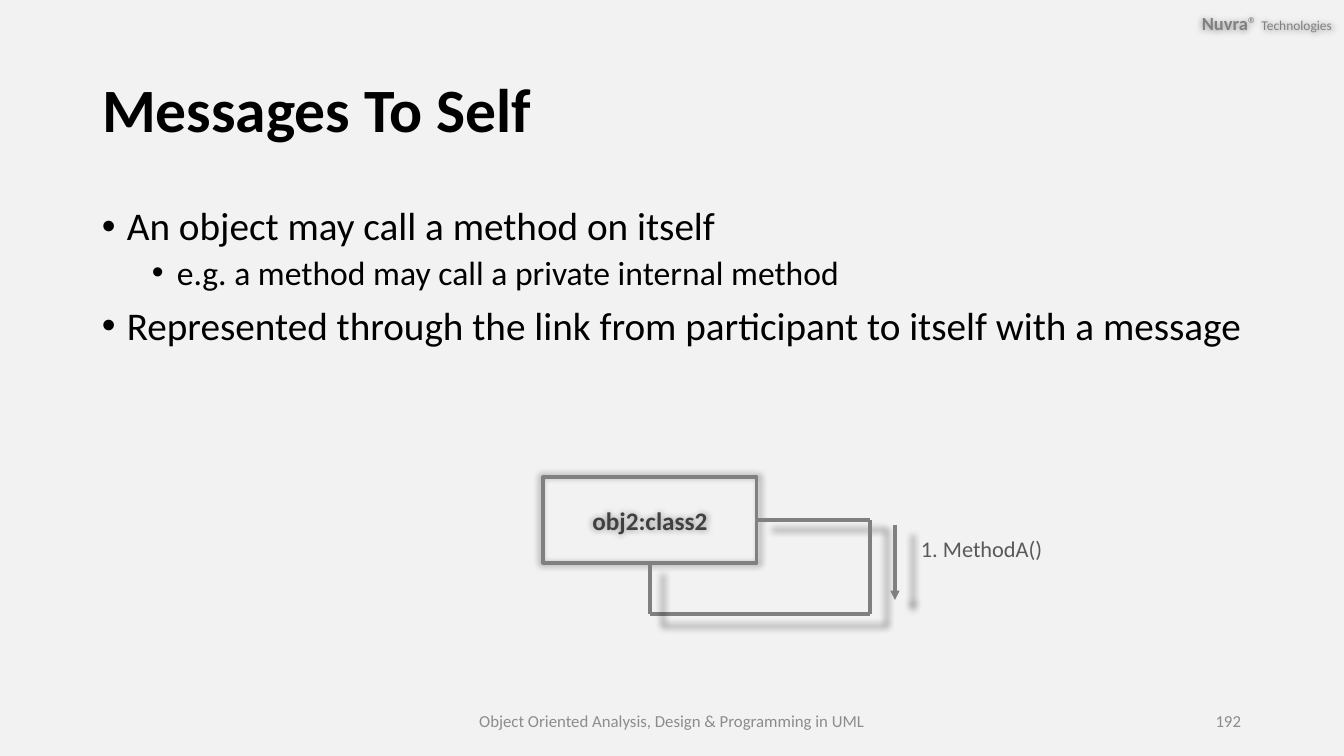
import pptx
import pptx.util
import pptx.oxml
import pptx.oxml.ns
import pptx.dml.color
import pptx.enum.text
import pptx.enum.shapes

# Content
TITLE = "Messages To Self"
POINTS = [
    # level, text, size, space before
    (0, "An object may call a method on itself", 28, 0),
    (1, "e.g. a method may call a private internal method", 24, 5),
    (0, "Represented through the link from participant to itself with a message", 28, 10),
]
BRAND = [("Nuvra", 13.2, True), ("® ", 13.2, False), ("Technologies", 9.6, False)]
FOOTER = "Object Oriented Analysis, Design & Programming in UML"
NUMBER = "192"
OBJECT = "obj2:class2"
CALL = "1. MethodA()"

# Look and places, in px
FONT = "Calibri"
BACK, BLACK, GREY, DARK, MID, PALE = "F2F2F2", "000000", "808080", "404040", "595959", "8C8C8C"
WIDE, HIGH = 1344, 756
SCALE = 914400 / 100.8
LEFT, SPAN = 92, 1159
BOX = (543, 477, 214, 86)
LOOP_X, LOOP_Y = 870, 614
ARROW = (895, 525, 895, 600)
INDENT, STEP = 25, 50

ALIGN = pptx.enum.text.PP_ALIGN
ANCHOR = pptx.enum.text.MSO_ANCHOR


def px(n):
    return pptx.util.Emu(round(n * SCALE))


def color(code):
    return pptx.dml.color.RGBColor.from_string(code)


def node(text):
    return pptx.oxml.parse_xml(text.replace(">", " " + pptx.oxml.ns.nsdecls("a") + ">", 1))


def write(par, text, size=12, ink=BLACK, bold=False, align=None):
    run = par.add_run()
    run.text = text
    font = run.font
    font.name, font.size, font.bold = FONT, pptx.util.Pt(size), bold
    font.color.rgb = color(ink)
    if align is not None:
        par.alignment = align


def place(shape, x, y, w, h):
    shape.left, shape.top, shape.width, shape.height = px(x), px(y), px(w), px(h)


def frame(slide, x, y, w, h, anchor=ANCHOR.MIDDLE):
    box = slide.shapes.add_textbox(px(x), px(y), px(w), px(h))
    box.text_frame.word_wrap = True
    box.text_frame.vertical_anchor = anchor
    return box


def bullet(par, level):
    par.level = level
    props = par._p.get_or_add_pPr()
    props.set("marL", str(px(INDENT + STEP * level)))
    props.set("indent", str(-px(INDENT)))
    props.append(node('<a:buFont typeface="Arial"/>'.replace("/>", "></a:buFont>")))
    props.append(node('<a:buChar char="•"></a:buChar>'))


def shade(shape):
    shape._element.spPr.append(node(
        '<a:effectLst><a:outerShdw blurRad="63500" sx="102000" sy="102000" algn="ctr" '
        'rotWithShape="0"><a:srgbClr val="000000"><a:alpha val="40000"/></a:srgbClr>'
        '</a:outerShdw></a:effectLst>'))


def stroke(shape):
    shape.line.color.rgb = color(GREY)
    shape.line.width = pptx.util.Pt(2.25)


def link(slide, ends, head=False):
    line = slide.shapes.add_connector(
        pptx.enum.shapes.MSO_CONNECTOR.STRAIGHT, *[px(n) for n in ends])
    stroke(line)
    if head:
        line.line._get_or_add_ln().append(node('<a:tailEnd type="triangle"></a:tailEnd>'))
    shade(line)
    return line


def main():
    deck = pptx.Presentation()
    deck.slide_width, deck.slide_height = px(WIDE), px(HIGH)
    slide = deck.slides.add_slide(deck.slide_layouts[5])
    slide.background.fill.solid()
    slide.background.fill.fore_color.rgb = color(BACK)

    # Title
    title = slide.shapes.title
    place(title, LEFT, 40, SPAN, 146)
    title.text_frame.vertical_anchor = ANCHOR.MIDDLE
    head = title.text_frame.paragraphs[0]
    head.line_spacing = 0.9
    write(head, TITLE, size=44, bold=True, align=ALIGN.LEFT)

    # Company name
    brand = frame(slide, 1150, 1, 194, 45)
    text = brand.text_frame
    text.margin_left = text.margin_right = px(12)
    text.margin_top = text.margin_bottom = px(6)
    for word, size, bold in BRAND:
        write(text.paragraphs[0], word, size=size, ink=GREY, bold=bold, align=ALIGN.RIGHT)
    shade(brand)

    # Points
    body = frame(slide, LEFT, 202, SPAN, 480, anchor=ANCHOR.TOP).text_frame
    for i, (level, words, size, gap) in enumerate(POINTS):
        par = body.add_paragraph() if i else body.paragraphs[0]
        bullet(par, level)
        par.line_spacing = 0.9
        par.space_before = pptx.util.Pt(gap)
        write(par, words, size=size)

    # Object box
    x, y, w, h = BOX
    box = slide.shapes.add_shape(
        pptx.enum.shapes.MSO_SHAPE.RECTANGLE, px(x), px(y), px(w), px(h))
    box.fill.background()
    stroke(box)
    shade(box)
    box.text_frame.vertical_anchor = ANCHOR.MIDDLE
    write(box.text_frame.paragraphs[0], OBJECT, size=18, ink=DARK, bold=True,
          align=ALIGN.CENTER)

    # Loop from the box back to itself
    right, low, mid_x, mid_y = x + w, y + h, x + w // 2, y + h // 2
    link(slide, (right, mid_y, LOOP_X, mid_y)).begin_connect(box, 3)
    link(slide, (LOOP_X, mid_y, LOOP_X, LOOP_Y))
    link(slide, (mid_x, LOOP_Y, LOOP_X, LOOP_Y))
    link(slide, (mid_x, low, mid_x, LOOP_Y)).begin_connect(box, 2)

    # Message
    link(slide, ARROW, head=True)
    call = frame(slide, 911, 530, 186, 37, anchor=ANCHOR.TOP)
    write(call.text_frame.paragraphs[0], CALL, size=16, ink=MID)

    # Footer
    for words, left, wide, align in [(FOOTER, 445, 454, ALIGN.CENTER),
                                     (NUMBER, 949, 302, ALIGN.RIGHT)]:
        foot = frame(slide, left, 701, wide, 40)
        write(foot.text_frame.paragraphs[0], words, ink=PALE, align=align)

    deck.save("out.pptx")


if __name__ == "__main__":
    main()
